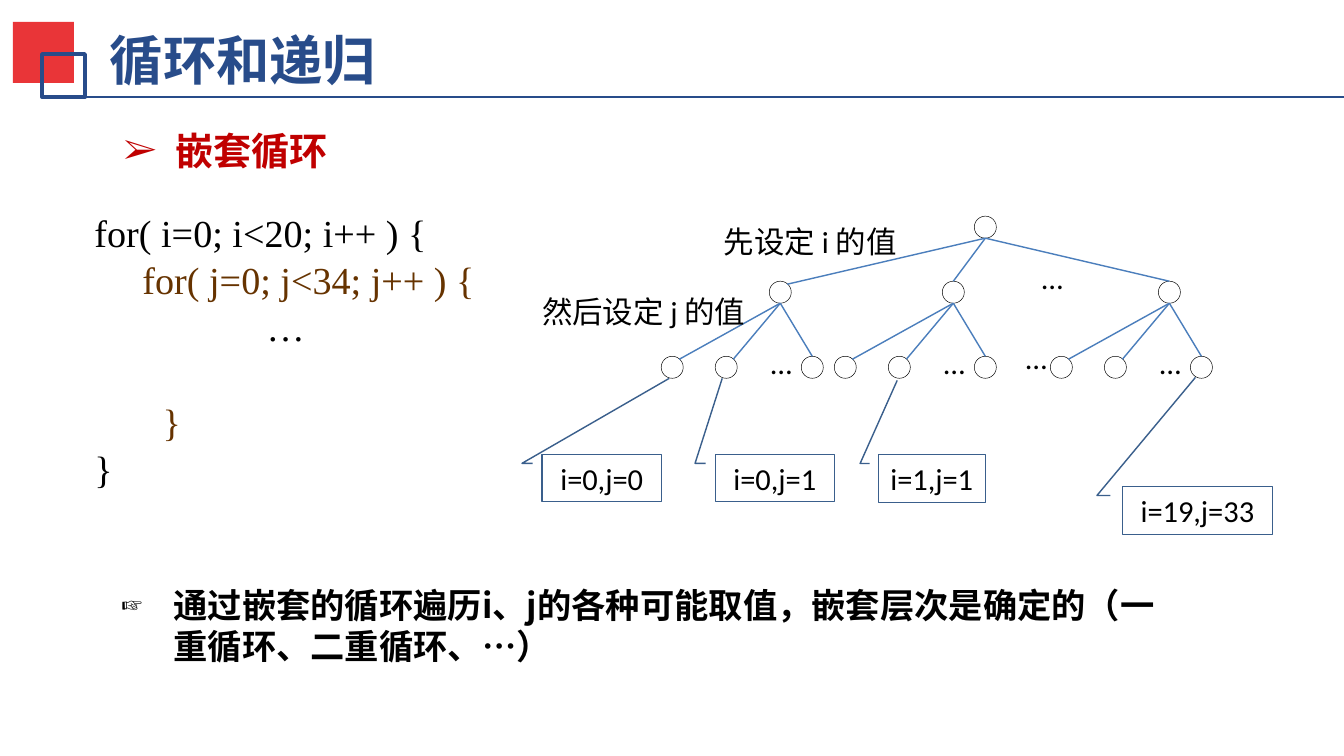
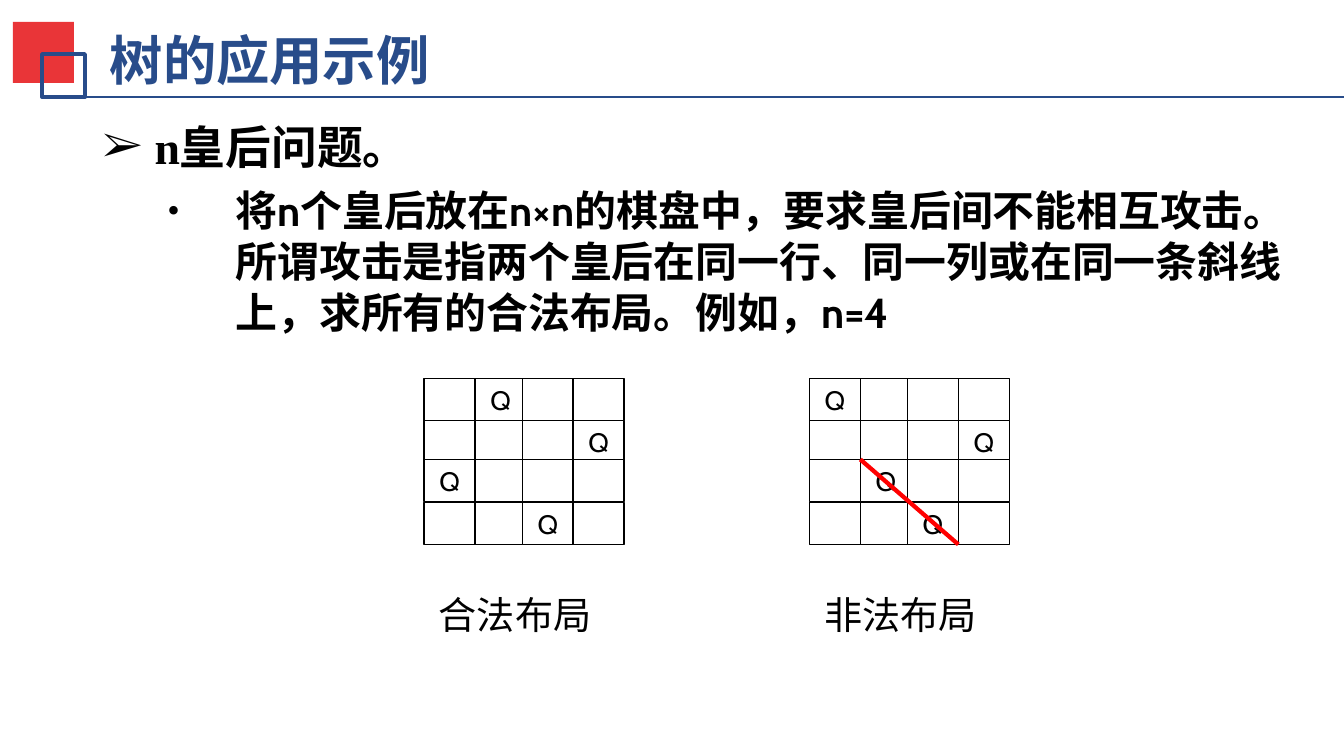
from dataclasses import dataclass

from lxml import etree
from pptx import Presentation
from pptx.dml.color import RGBColor
from pptx.enum import shapes, text
from pptx.oxml import ns
from pptx.util import Inches, Pt

PX = 6670  # EMU per px
SLIDE_SIZE = Inches(9.8), Inches(5.51)
RIGHT_EDGE = 1344


@dataclass(frozen=True)
class Theme:
    navy: str = "284C8A"
    red: str = "E93538"
    heading: str = "C00000"
    ink: str = "000000"
    paper: str = "FFFFFF"
    edge: str = "4B7EBC"
    callout: str = "3A5F8C"
    inner_loop: str = "663300"
    strike: str = "FF0000"
    serif: str = "Times New Roman"
    sans: str = "Calibri"
    round: str = "Cabin"
    cjk: str = "Noto Sans CJK SC"
    title: int = 28
    topic: int = 24
    body: int = 22
    code: int = 20
    note: int = 18
    label: int = 16
    queen: int = 14


T = Theme()

# Content: nested loops
CODE = [  # text, indent px, space before pt, colour
    ("for( i=0; i<20; i++ ) {", 0, 3, T.ink),
    ("for( j=0; j<34; j++ ) {", 48, 3, T.inner_loop),
    ("…", 172, 3, T.ink),
    ("}", 68, 28, T.inner_loop),
    ("}", 0, 3, T.ink),
]
ROOT = (985, 227)
BRANCHES, BRANCH_Y = [780, 953, 1169], 292
LEAF_OFFSETS, LEAF_Y = [-108, -54, 32], 367
RADIUS = 11
ELLIPSES = [(x - 23, 355) for x in BRANCHES] + [(1028, 270), (1012, 350)]
STEP_LABELS = [
    ("先设定 i 的值", (694, 223, 232, 36)),
    ("然后设定 j 的值", (521, 285, 245, 52)),
]
CALLOUTS = [  # text, box, tip
    ("i=0,j=0", (542, 454, 119, 47), (669, 378)),
    ("i=0,j=1", (715, 454, 119, 47), (722, 378)),
    ("i=1,j=1", (878, 454, 107, 48), (897, 380)),
    ("i=19,j=33", (1122, 486, 150, 48), (1195, 377)),
]
LOOP_NOTE = "通过嵌套的循环遍历i、j的各种可能取值，嵌套层次是确定的（一重循环、二重循环、…）"

# Content: queens
QUEENS_TASK = ("将n个皇后放在n×n的棋盘中，要求皇后间不能相互攻击。所谓攻击是指两个皇后在"
               "同一行、同一列或在同一条斜线上，求所有的合法布局。例如，n=4")
BOARDS = [  # caption, left, queen column in each row
    ("合法布局", 424, [1, 3, 0, 2]),
    ("非法布局", 809, [0, 3, 1, 2]),
]
COLUMNS, ROWS = [0, 51, 98, 149], [378, 420, 459, 502]
CELL_W, CELL_H = 51, 42


def emu(*lengths):
    return [round(length * PX) for length in lengths]


def style(paragraph, size, font, color=T.ink, bold=False):
    for run in paragraph.runs:
        run.font.size, run.font.name, run.font.bold = Pt(size), font, bold
        run.font.color.rgb = RGBColor.from_string(color)
        etree.SubElement(run.font._element, ns.qn("a:ea"), typeface=T.cjk)


def indent(paragraph, left, first=0):
    props = paragraph._p.get_or_add_pPr()
    for key, value in zip(("marL", "indent"), emu(left, first)):
        props.set(key, str(value))
    return props


def bullet(paragraph, char, percent, hang):
    props = indent(paragraph, hang, -hang)
    etree.SubElement(props, ns.qn("a:buSzPct"), val=str(percent * 1000))
    etree.SubElement(props, ns.qn("a:buFont"), typeface=T.serif)
    etree.SubElement(props, ns.qn("a:buChar"), char=char)


def add_text(slide, box, words, size, font, color=T.ink, bold=False, centre=False, middle=False):
    frame = slide.shapes.add_textbox(*emu(*box)).text_frame
    frame.word_wrap = True
    frame.text = words
    if middle:
        frame.vertical_anchor = text.MSO_ANCHOR.MIDDLE
    for paragraph in frame.paragraphs:
        if centre:
            paragraph.alignment = text.PP_ALIGN.CENTER
        style(paragraph, size, font, color, bold)
    return frame


def add_shape(parent, kind, box, fill=None, line=None, weight=0.75):
    shape = parent.shapes.add_shape(kind, *emu(*box))
    shape.shadow.inherit = False
    if fill:
        shape.fill.solid()
        shape.fill.fore_color.rgb = RGBColor.from_string(fill)
    else:
        shape.fill.background()
    if line:
        shape.line.color.rgb = RGBColor.from_string(line)
        shape.line.width = Pt(weight)
    else:
        shape.line.fill.background()
    return shape


def label_shape(shape, words, size, font):
    frame = shape.text_frame
    frame.margin_left = frame.margin_right = 0
    frame.vertical_anchor = text.MSO_ANCHOR.MIDDLE
    frame.word_wrap = False
    frame.text = words
    frame.paragraphs[0].alignment = text.PP_ALIGN.CENTER
    style(frame.paragraphs[0], size, font)


def add_line(slide, start, end, color, weight=0.75):
    line = slide.shapes.add_connector(shapes.MSO_CONNECTOR.STRAIGHT, *emu(*start, *end))
    line.line.color.rgb = RGBColor.from_string(color)
    line.line.width = Pt(weight)
    etree.SubElement(line._element.spPr, ns.qn("a:effectLst"))


def new_slide(deck, title):
    slide = deck.slides.add_slide(deck.slide_layouts[6])
    frame = add_text(slide, (100, 22, 947, 75), title, T.title, T.serif, T.navy, True)
    frame.margin_left, frame.margin_top = emu(10, 5)
    add_shape(slide, shapes.MSO_SHAPE.RECTANGLE, (13, 22, 61, 61), fill=T.red)
    add_shape(slide, shapes.MSO_SHAPE.RECTANGLE, (42, 54, 43, 43), line=T.navy, weight=2)
    add_line(slide, (52, 97), (RIGHT_EDGE, 97), T.navy)
    return slide


def add_node(slide, x, y):
    box = (x - RADIUS, y - RADIUS, 2 * RADIUS, 2 * RADIUS)
    add_shape(slide, shapes.MSO_SHAPE.OVAL, box, line=T.ink, weight=0.25)


def add_child(slide, parent, child, from_right):
    """Draw a node and its edge, which meets the top or the upper right of the node."""
    add_node(slide, *child)
    dx, dy = (7, 3) if from_right else (0, 0)
    add_line(slide, (parent[0], parent[1] + RADIUS),
             (child[0] + dx, child[1] - RADIUS + dy), T.edge)


def add_tree(slide):
    add_node(slide, *ROOT)
    for i, x in enumerate(BRANCHES):
        branch = (x, BRANCH_Y)
        add_child(slide, ROOT, branch, from_right=i == 0)
        for j, offset in enumerate(LEAF_OFFSETS):
            add_child(slide, branch, (x + offset, LEAF_Y), from_right=j < 2)
    for left, top in ELLIPSES:
        frame = add_text(slide, (left, top, 33, 22), "…", T.label, T.sans,
                         centre=True, middle=True)
        frame.paragraphs[0].line_spacing = Pt(15)


def add_callout(slide, words, box, tip):
    left, top, width, height = box
    callout = add_shape(slide, shapes.MSO_SHAPE.LINE_CALLOUT_2, box, line=T.callout)
    bends = [0.19, -0.08, 0.19, -0.17, (tip[1] - top) / height, (tip[0] - left) / width]
    for i, bend in enumerate(bends):
        callout.adjustments[i] = bend
    label_shape(callout, words, T.label, T.sans)


def loops_slide(deck):
    slide = new_slide(deck, "循环和递归")
    heading = add_text(slide, (110, 111, 1112, 74), "嵌套循环", T.code, T.serif,
                       T.heading, True).paragraphs[0]
    heading.line_spacing, heading.space_before = 1.2, Pt(6)
    bullet(heading, "➢", 95, 52)
    add_tree(slide)

    # Code listing
    listing = add_text(slide, (81, 208, 485, 292), "\n".join(row[0] for row in CODE),
                       T.code, T.serif)
    for paragraph, (_, left, before, color) in zip(listing.paragraphs, CODE):
        paragraph.line_spacing, paragraph.space_before = 0.9, Pt(before)
        paragraph.runs[0].font.color.rgb = RGBColor.from_string(color)
        indent(paragraph, left)

    # Labels and closing note
    for words, box in STEP_LABELS:
        add_text(slide, box, words, T.label, T.sans, centre=True, middle=True)
    for callout in CALLOUTS:
        add_callout(slide, *callout)
    note = add_text(slide, (108, 577, 1060, 132), LOOP_NOTE, T.note, T.cjk, bold=True).paragraphs[0]
    note.line_spacing, note.space_before = Pt(21.5), Pt(4)
    bullet(note, "☞", 75, 52)


def add_board(slide, caption, left, queens):
    board = slide.shapes.add_group_shape()
    for top, queen in zip(ROWS, queens):
        for column, offset in enumerate(COLUMNS):
            cell = add_shape(board, shapes.MSO_SHAPE.RECTANGLE,
                             (left + offset, top, CELL_W, CELL_H), T.paper, T.ink)
            if column == queen:
                label_shape(cell, "Q", T.queen, T.round)
    add_text(slide, (left - 12, 584, 206, 59), caption, T.code, T.round, centre=True)


def queens_slide(deck):
    slide = new_slide(deck, "树的应用示例")
    topic = add_text(slide, (89, 112, 1158, 66), "n皇后问题。", T.topic, T.serif,
                     bold=True).paragraphs[0]
    topic.space_before = Pt(6)
    bullet(topic, "➢", 95, 52)
    task = add_text(slide, (154, 178, 1167, 166), QUEENS_TASK, T.body, T.round,
                    bold=True).paragraphs[0]
    task.line_spacing, task.space_before = Pt(26.5), Pt(3)
    bullet(task, "•", 85, 68)
    for board in BOARDS:
        add_board(slide, *board)

    # Attack along the diagonal
    left = BOARDS[1][1]
    add_line(slide, (left + COLUMNS[1], ROWS[2]), (left + COLUMNS[3], ROWS[3] + CELL_H),
             T.strike, 2.25)


def main():
    deck = Presentation()
    deck.slide_width, deck.slide_height = SLIDE_SIZE
    loops_slide(deck)
    queens_slide(deck)
    deck.save("out.pptx")


if __name__ == "__main__":
    main()
